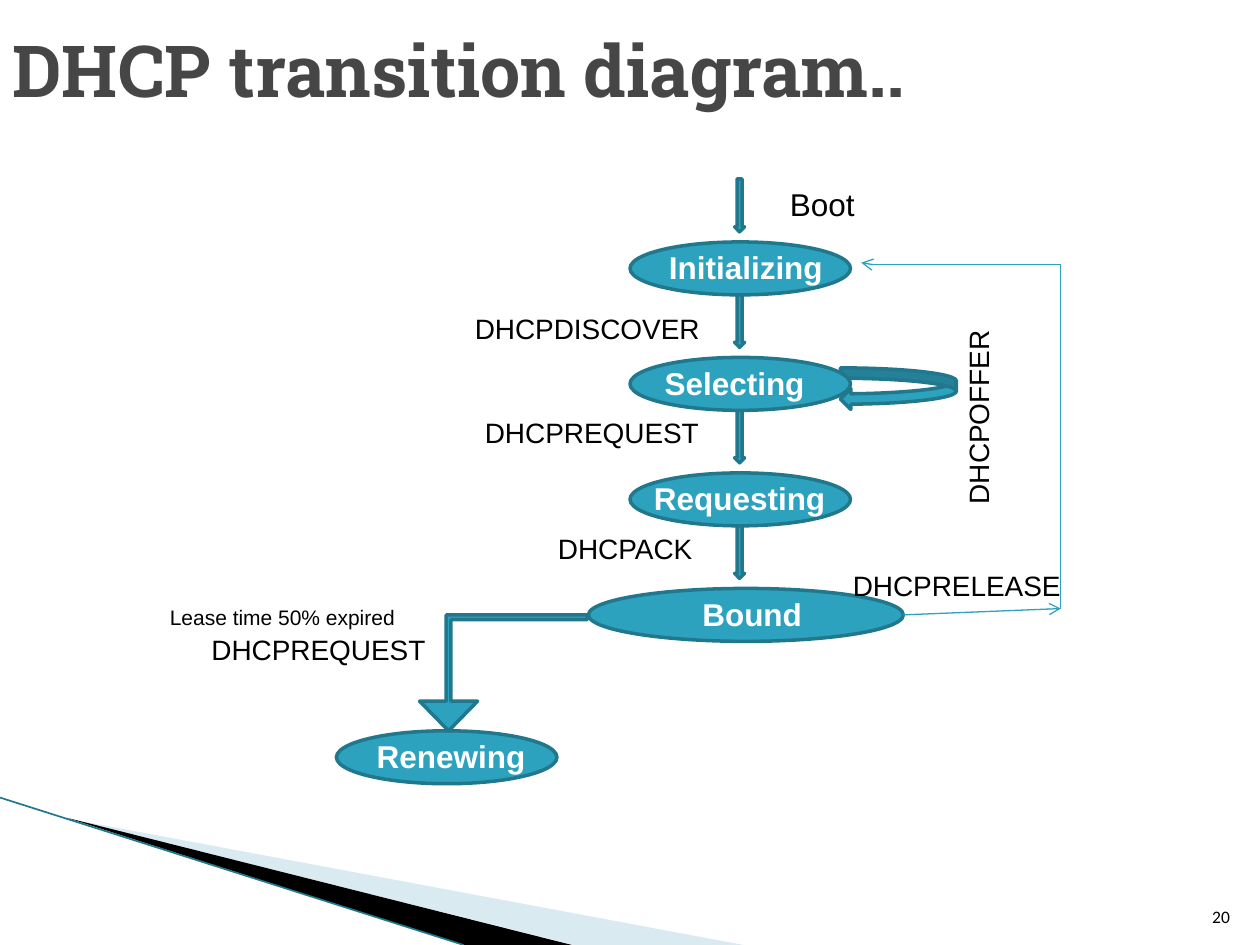
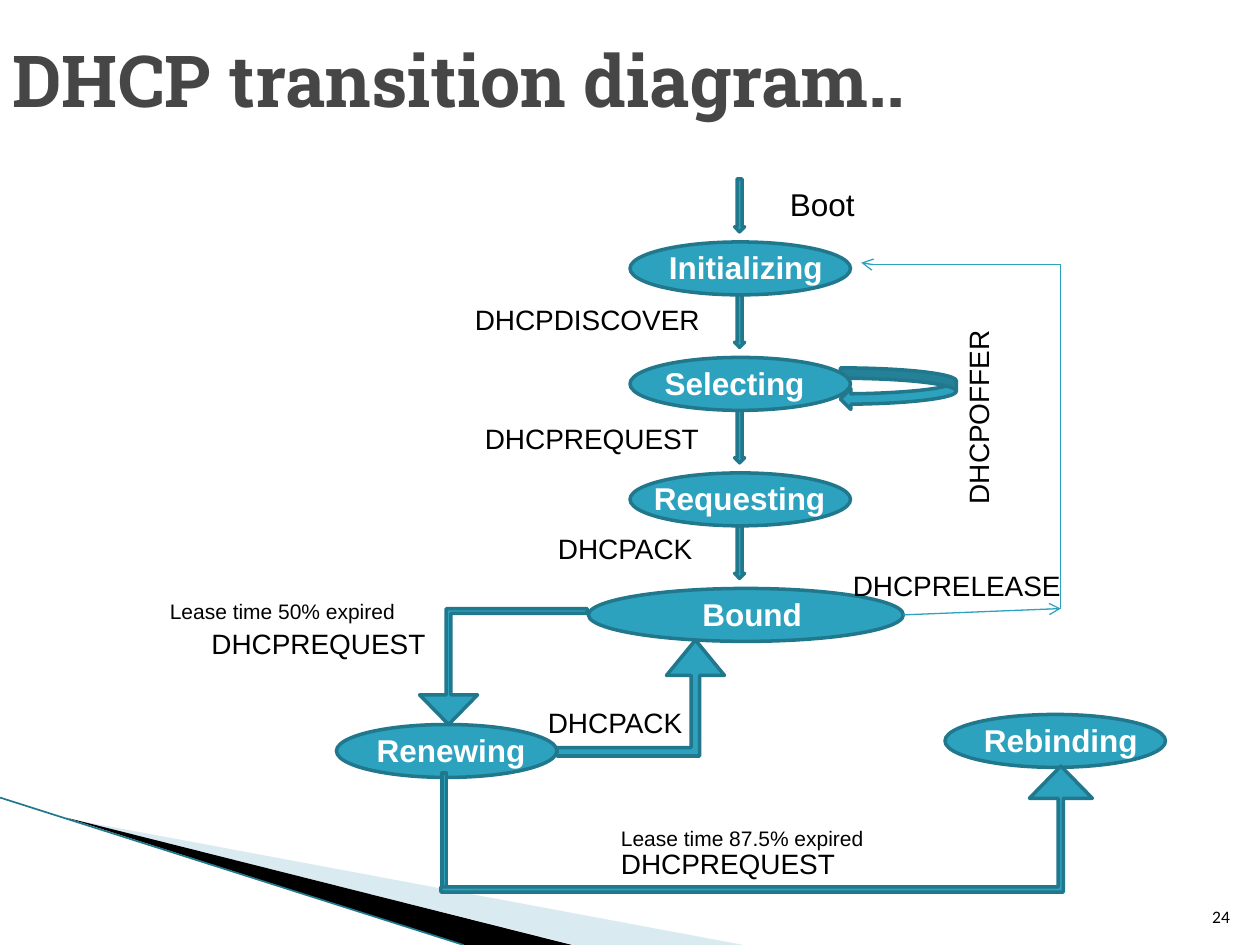
from dataclasses import dataclass

from lxml.etree import SubElement
from pptx import Presentation
from pptx.dml.color import RGBColor
from pptx.enum.shapes import MSO_CONNECTOR as Link, MSO_SHAPE as Preset
from pptx.enum.text import MSO_ANCHOR as Anchor, MSO_AUTO_SIZE as Fit, PP_ALIGN as Align
from pptx.oxml.ns import qn
from pptx.util import Inches, Pt


@dataclass(frozen=True)
class Theme:
    teal: str = "2DA2BF"
    outline: str = "21788D"
    pale: str = "A0CBDC"
    black: str = "000000"
    white: str = "FFFFFF"
    heading: str = "464646"
    title_font: str = "Roboto Slab"
    body_font: str = "Arial"
    number_font: str = "Calibri"
    title_size: int = 41
    state_size: int = 18
    message_size: int = 16
    note_size: int = 12
    number_size: int = 10


THEME = Theme()
STEP = 11 / 12
STATE_TOP = 1.92
ARROW_TOP = 1.42
STATE_WIDTH, STATE_HEIGHT = 1.75, 0.42
THIN_BEND = (0.041, 0.25, 0.256)
WIDE_BEND = (0.073, 0.25, 0.305)


def inches(*lengths):
    return [Inches(length) for length in lengths]


def apply(target, formats):
    for name, value in formats.items():
        setattr(target, name, value)


def color(target, value):
    target.rgb = RGBColor.from_string(value)


def write(frame, text, size, tint=THEME.black, font=THEME.body_font,
          bold=False, align=Align.LEFT, anchor=Anchor.TOP, fit=Fit.NONE):
    apply(frame, {"word_wrap": True, "auto_size": fit, "vertical_anchor": anchor})
    paragraph = frame.paragraphs[0]
    paragraph.alignment = align
    run = paragraph.add_run()
    run.text = text
    apply(run.font, {"size": Pt(size), "name": font, "bold": bold})
    color(run.font.color, tint)


def add_label(slide, text, left, top, width, size=THEME.message_size, **formats):
    height = {THEME.state_size: 0.4, THEME.message_size: 0.37, THEME.note_size: 0.3}[size]
    label = slide.shapes.add_textbox(*inches(left, top, width, height))
    write(label.text_frame, text, size, fit=Fit.SHAPE_TO_FIT_TEXT, **formats)
    return label


def add_block(slide, preset, left, top, width, height, bends=(), rotation=0):
    block = slide.shapes.add_shape(preset, *inches(left, top, width, height))
    block.shadow.inherit = False
    block.fill.solid()
    color(block.fill.fore_color, THEME.teal)
    color(block.line.color, THEME.outline)
    block.line.width = Pt(2)
    block.rotation = rotation
    for index, bend in enumerate(bends):
        block.adjustments[index] = bend


def add_state(slide, name, left, top, label_left, label_width=1.5, width=STATE_WIDTH):
    add_block(slide, Preset.OVAL, left, top, width, STATE_HEIGHT)
    add_label(slide, name, label_left, top, label_width, THEME.state_size,
              tint=THEME.white, bold=True, align=Align.CENTER)


def add_line(slide, kind, begin, end, tint, weight, arrow=True):
    line = slide.shapes.add_connector(kind, *inches(*begin, *end))
    color(line.line.color, tint)
    line.line.width = Pt(weight)
    properties = line.element.spPr
    if arrow:
        SubElement(properties.find(qn("a:ln")), qn("a:tailEnd"), type="arrow")
    SubElement(properties, qn("a:effectLst"))
    return line


def add_band(slide, points, tint, opacity=100):
    start, *others = [inches(*point) for point in points]
    outline = slide.shapes.build_freeform(*start)
    outline.add_line_segments(others, close=True)
    band = outline.convert_to_shape()
    band.shadow.inherit = False
    band.fill.solid()
    color(band.fill.fore_color, tint)
    band.line.fill.background()
    tone = band.element.spPr.find(qn("a:solidFill"))[0]
    SubElement(tone, qn("a:alpha"), val=str(opacity * 1000))
    return band


def add_shared_corner(layout, slide):
    for footer in list(layout.placeholders)[1:]:
        footer.element.getparent().remove(footer.element)
    corner = (
        add_band(slide, [(0.55, 6.5), (5.9, 7.5), (4.56, 7.5)], THEME.pale, 40),
        add_band(slide, [(0.53, 6.49), (4.54, 7.5), (3.68, 7.5)], THEME.black),
        add_line(slide, Link.STRAIGHT, (0, 6.33), (3.68, 7.5), THEME.outline, 0.95, arrow=False),
    )
    for part in corner:
        layout.shapes.element.append(part.element)


def add_title(slide, top):
    title = slide.shapes.title
    left, top, width, height = inches(0, top, 9, 1.25)
    apply(title, {"left": left, "top": top, "width": width, "height": height})
    write(title.text_frame, "DHCP transition diagram..", THEME.title_size, THEME.heading,
          THEME.title_font, bold=True, anchor=Anchor.MIDDLE)


def add_page_number(slide, number):
    box = slide.shapes.add_textbox(*inches(9.46, 7.01, 0.4, 0.4))
    write(box.text_frame, number, THEME.number_size, font=THEME.number_font,
          align=Align.RIGHT, anchor=Anchor.BOTTOM)


def add_main_flow(slide, discover_top, request_top):
    for index in range(4):
        add_block(slide, Preset.DOWN_ARROW, 5.83, ARROW_TOP + index * STEP, 0.08, 0.42)
    add_block(slide, Preset.CURVED_LEFT_ARROW, 6.67, 2.92, 0.92, 0.33)
    states = (
        ("Initializing", 5, 5.17, 1.5, STATE_WIDTH),
        ("Selecting", 5, 5.08, 1.5, STATE_WIDTH),
        ("Requesting", 5, 5.08, 1.58, STATE_WIDTH),
        ("Bound", 4.67, 4.9, 2.14, 2.5),
    )
    for index, (name, left, *sizes) in enumerate(states):
        add_state(slide, name, left, STATE_TOP + index * STEP, *sizes)
    add_label(slide, "Boot", 6.17, 1.42, 0.92, THEME.state_size)
    add_label(slide, "DHCPDISCOVER", 3.67, discover_top, 2.33)
    add_label(slide, "DHCPREQUEST", 3.75, request_top, 2.33)
    add_label(slide, "DHCPACK", 4.33, 4.17, 1.33)
    add_label(slide, "DHCPOFFER", 6.88, 3.03, 1.77).rotation = 270


def add_release(slide):
    add_line(slide, Link.STRAIGHT, (7.17, 4.88), (8.42, 4.83), THEME.teal, 0.75)
    add_label(slide, "DHCPRELEASE", 6.67, 4.46, 2.33)
    return_path = add_line(slide, Link.ELBOW, (6.25, 4.25), (9, 2.67), THEME.teal, 0.75)
    properties = return_path.element.spPr
    properties.find(qn("a:xfrm")).set("rot", str(270 * 60000))
    guides = properties.find(qn("a:prstGeom")).find(qn("a:avLst"))
    SubElement(guides, qn("a:gd"), name="adj1", fmla="val 99500")


def add_renewal(slide, top):
    add_state(slide, "Renewing", 2.67, top, 2.83)
    add_block(slide, Preset.BENT_UP_ARROW, 3.33, top - 0.92, 1.33, 0.92, THIN_BEND, 180)
    add_label(slide, "DHCPREQUEST", 1.58, top - 0.83, 2.33)
    add_label(slide, "Lease time 50% expired", 1.25, top - 1.05, 2.33, THEME.note_size)


def add_rebinding(slide):
    add_block(slide, Preset.MATH_MINUS, 3.5, 4.67, 0.05, 3.83)
    add_state(slide, "Rebinding", 7.5, 5.67, 7.67)
    add_block(slide, Preset.BENT_UP_ARROW, 3.5, 6.08, 5.17, 1, THIN_BEND)
    add_label(slide, "Lease time 87.5% expired", 4.83, 6.5, 2.33, THEME.note_size)
    add_label(slide, "DHCPREQUEST", 4.83, 6.67, 2.33)


def add_renewal_reply(slide):
    add_block(slide, Preset.BENT_UP_ARROW, 4.42, 5.08, 1.33, 0.92, WIDE_BEND)
    add_label(slide, "DHCPACK", 4.25, 5.55, 1.33)


def main():
    deck = Presentation()
    apply(deck, {"slide_width": Inches(10), "slide_height": Inches(7.5)})
    layout = deck.slide_layouts[5]

    renewing = deck.slides.add_slide(layout)
    add_shared_corner(layout, renewing)
    add_title(renewing, -0.08)
    add_main_flow(renewing, discover_top=2.42, request_top=3.25)
    add_renewal(renewing, 5.8)
    add_release(renewing)
    add_page_number(renewing, "20")

    rebinding = deck.slides.add_slide(layout)
    add_title(rebinding, 0)
    add_renewal_reply(rebinding)
    add_main_flow(rebinding, discover_top=2.35, request_top=3.3)
    add_renewal(rebinding, 5.75)
    add_rebinding(rebinding)
    add_release(rebinding)
    add_page_number(rebinding, "24")

    deck.save("out.pptx")


if __name__ == "__main__":
    main()
